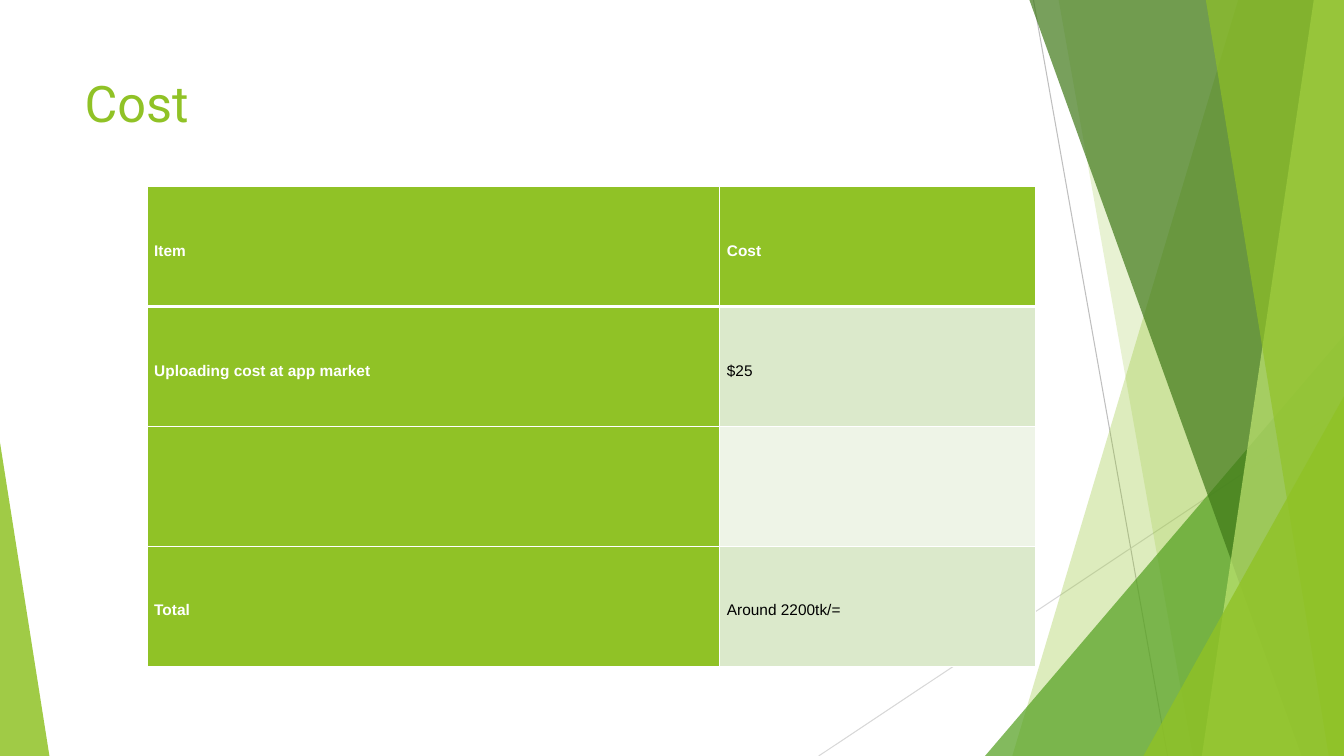
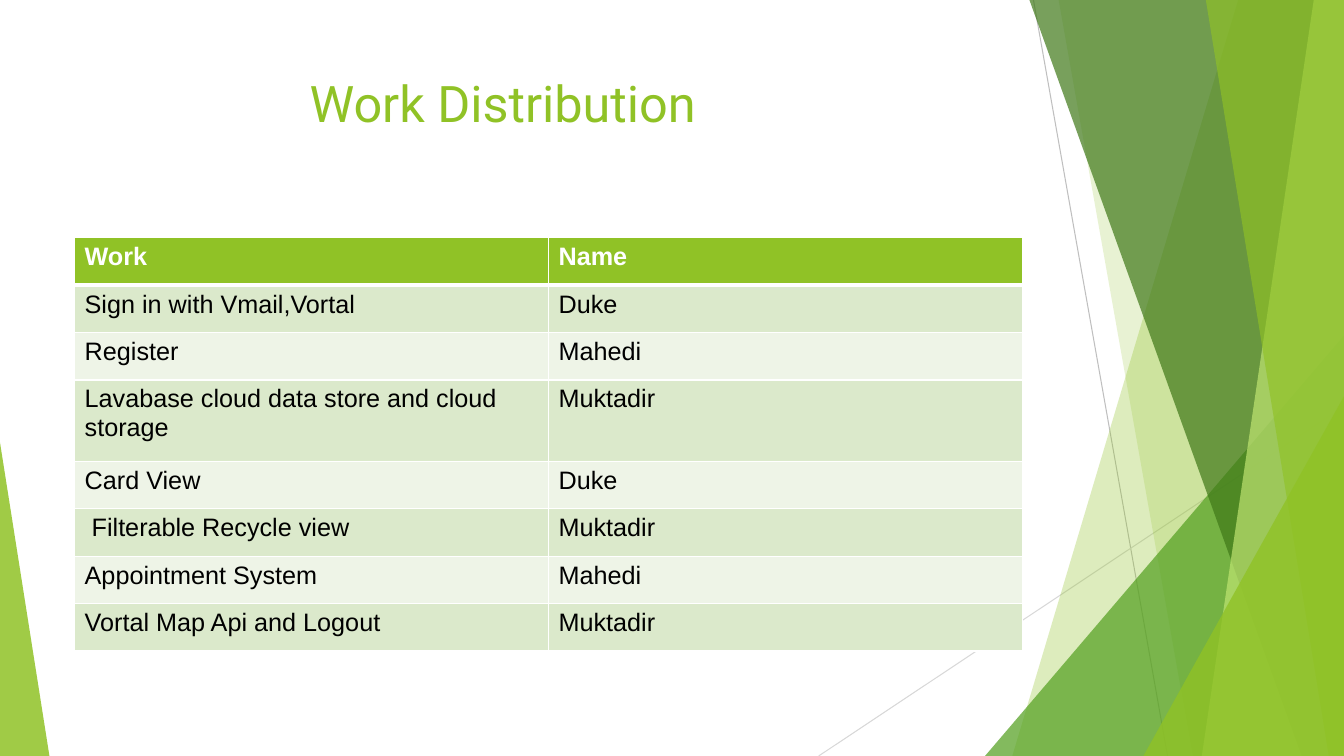
from lxml import etree
from pptx import Presentation
from pptx.dml.color import RGBColor as Rgb
from pptx.enum.shapes import MSO_CONNECTOR as Link, MSO_SHAPE as Kind
from pptx.enum.text import MSO_ANCHOR as Anchor, PP_ALIGN as Align
from pptx.oxml.ns import qn
from pptx.util import Inches, Pt

COLORS = {
    "lime": "90C226", "green": "54A021", "forest": "3F7818", "pale": "BFE471",
    "band": "DBE9CB", "mist": "EEF4E7", "white": "FFFFFF", "black": "000000",
    "gray": "BFBFBF", "silver": "D8D8D8",
}
WIDE, HIGH = 13.33, 7.5


class Deck:
    def __init__(self):
        self.prs = Presentation()
        self.prs.slide_width = Inches(WIDE)
        self.prs.slide_height = Inches(HIGH)

    def slide(self, title, indent=0.0):
        self.page = self.prs.slides.add_slide(self.prs.slide_layouts[5])
        self.shapes = self.page.shapes
        self.decor()
        self.title(title, indent)

    def title(self, text, indent):
        box = self.shapes.title
        box.left, box.top = Inches(0.74), Inches(0.67)
        box.width, box.height = Inches(9.4), Inches(1.44)
        frame = box.text_frame
        frame.vertical_anchor = Anchor.TOP
        frame.margin_left = Inches(0.1 + indent)
        para = frame.paragraphs[0]
        para.alignment = Align.LEFT
        self.run(para, text, 36, "lime", "Roboto")

    def run(self, para, text, size, color, face="Arial", bold=False):
        run = para.add_run()
        run.text = text
        font = run.font
        font.name, font.size, font.bold = face, Pt(size), bold
        font.color.rgb = Rgb.from_string(COLORS[color])

    def paint(self, shape, color, alpha):
        """Fill a shape with a see-through colour (alpha in percent)."""
        shape.shadow.inherit = False
        shape.line.fill.background()
        shape.fill.solid()
        shape.fill.fore_color.rgb = Rgb.from_string(COLORS[color])
        tint = next(shape.fill._xPr.iter(qn("a:srgbClr")))
        etree.SubElement(tint, qn("a:alpha")).set("val", str(alpha * 1000))

    def line(self, x1, y1, x2, y2, color):
        line = self.shapes.add_connector(
            Link.STRAIGHT, Inches(x1), Inches(y1), Inches(x2), Inches(y2))
        line.line.color.rgb = Rgb.from_string(COLORS[color])
        line.line.width = Pt(0.75)
        etree.SubElement(line._element.spPr, qn("a:effectLst"))

    def shard(self, top, foot, color, alpha):
        """Fill from a slanted left edge to the right side of the slide."""
        form = self.shapes.build_freeform(Inches(top), 0)
        points = [(WIDE, 0), (WIDE, HIGH), (foot, HIGH)]
        form.add_line_segments([(Inches(x), Inches(y)) for x, y in points])
        self.paint(form.convert_to_shape(), color, alpha)

    def wedge(self, left, top, width, peak, color, alpha):
        """Triangle on the bottom edge; peak 0 is left, 1 is right."""
        shape = self.shapes.add_shape(
            Kind.ISOSCELES_TRIANGLE, Inches(left), Inches(top),
            Inches(width), Inches(HIGH - top))
        shape.adjustments[0] = peak
        self.paint(shape, color, alpha)

    def decor(self):
        self.line(10.25, 0, 11.58, HIGH, "gray")
        self.line(WIDE, 4.03, 8.12, HIGH, "silver")
        self.shard(12.28, 10.04, "lime", 30)
        self.shard(10.5, 11.83, "lime", 20)
        self.wedge(9.77, 3.33, 3.56, 1, "green", 72)
        self.shard(10.21, 12.91, "forest", 70)
        self.shard(13.03, 11.92, "pale", 70)
        self.shard(11.96, 13.18, "lime", 65)
        self.wedge(11.34, 3.93, 1.99, 1, "lime", 80)
        self.wedge(0, 4.39, 0.49, 0, "lime", 85)

    def edges(self, cell, row):
        """White borders, thick under the header row."""
        props = cell._tc.get_or_add_tcPr()
        thick = {"T": row == 1, "B": row == 0}
        for side in "LRTB":
            edge = etree.SubElement(props, qn("a:ln" + side))
            edge.set("w", str(Pt(3 if thick.get(side) else 1)))
            fill = etree.SubElement(edge, qn("a:solidFill"))
            tint = etree.SubElement(fill, qn("a:srgbClr"))
            tint.set("val", COLORS["white"])

    def table(self, left, top, cols, rows, data, size, lead=False, airy=False):
        """lead marks the first column as a header; airy centres and spaces."""
        grid = self.shapes.add_table(
            len(rows), len(cols), Inches(left), Inches(top),
            Inches(sum(cols)), Inches(sum(rows))).table
        for col, width in zip(grid.columns, cols):
            col.width = Inches(width)
        for row, height in zip(grid.rows, rows):
            row.height = Inches(height)
        for r, texts in enumerate(data):
            for c, text in enumerate(texts):
                cell = grid.cell(r, c)
                head = r == 0 or (lead and c == 0)
                self.edges(cell, r)
                cell.fill.solid()
                shade = "lime" if head else "band" if r % 2 else "mist"
                cell.fill.fore_color.rgb = Rgb.from_string(COLORS[shade])
                para = cell.text_frame.paragraphs[0]
                if airy:
                    cell.vertical_anchor = Anchor.MIDDLE
                    cell.margin_left = cell.margin_right = Inches(0.07)
                    cell.margin_top = cell.margin_bottom = 0
                    para.alignment, para.line_spacing = Align.JUSTIFY, 1.5
                if text:
                    color = "white" if head else "black"
                    self.run(para, text, size, color, bold=head)


def main():
    deck = Deck()

    deck.slide("Cost")
    costs = [
        ("Item", "Cost"),
        ("Uploading cost at app market", "$25"),
        ("", ""),
        ("Total", "Around 2200tk/="),
    ]
    deck.table(1.46, 1.85, [5.68, 3.13], [1.19] * 4, costs, 11,
               lead=True, airy=True)

    deck.slide("Work Distribution", indent=2.23)
    tasks = [
        ("Work", "Name"),
        ("Sign in with Vmail,Vortal", "Duke"),
        ("Register", "Mahedi"),
        ("Lavabase cloud data store and cloud storage", "Muktadir"),
        ("Card View", "Duke"),
        (" Filterable Recycle view", "Muktadir"),
        ("Appointment System", "Mahedi"),
        ("Vortal Map Api and Logout", "Muktadir"),
    ]
    rows = [0.47] * 3 + [0.81] + [0.47] * 4
    deck.table(0.74, 2.36, [4.7, 4.7], rows, tasks, 18)

    deck.prs.save("out.pptx")


if __name__ == "__main__":
    main()
